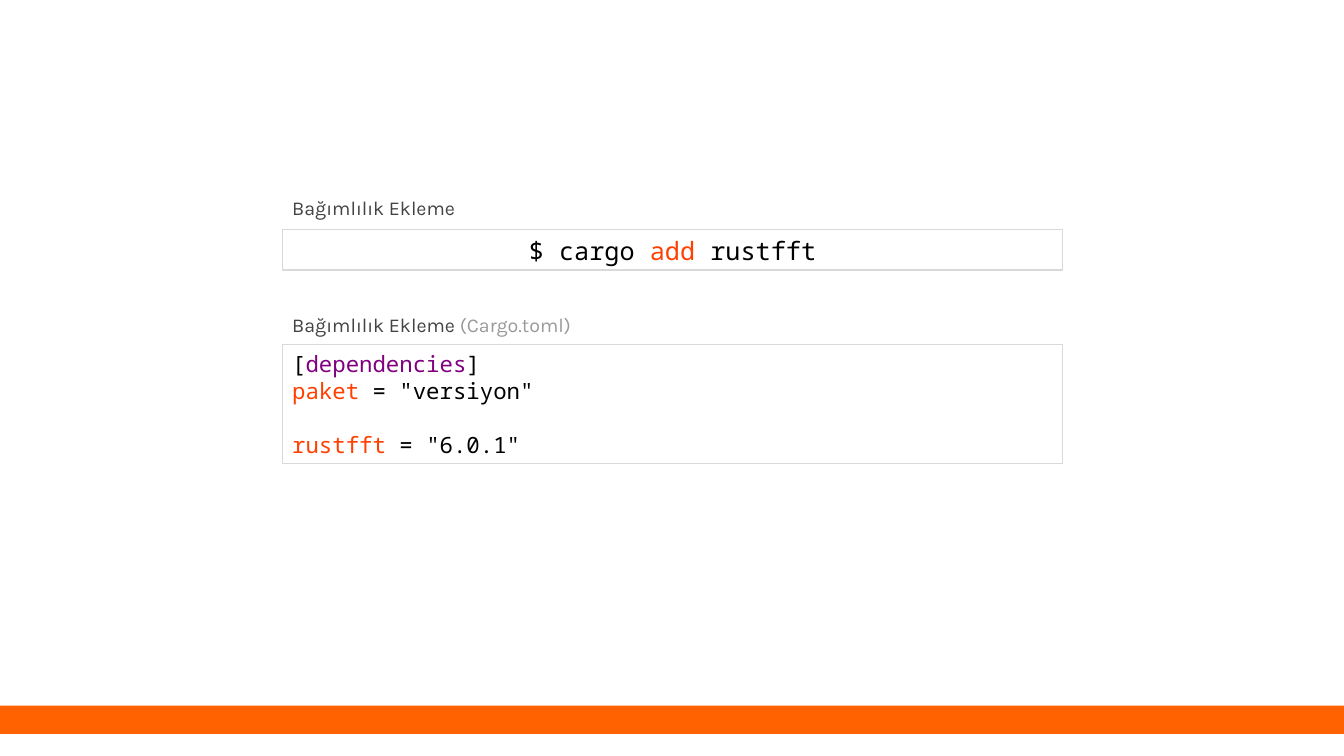
from dataclasses import dataclass

from pptx import Presentation
from pptx.dml.color import RGBColor
from pptx.enum.shapes import MSO_SHAPE
from pptx.enum.text import MSO_ANCHOR, PP_ALIGN
from pptx.shapes.autoshape import Shape
from pptx.slide import Slide
from pptx.util import Emu, Pt

EMU_PER_PX = 9144
COLORS = {
    "orange": "FF6200",
    "white": "FFFFFF",
    "border": "D9D9D9",
    "black": "000000",
    "keyword": "FF4000",
    "section": "800080",
    "heading": "434343",
    "muted": "999999",
}
LEFT, WIDTH = 280, 774
INSET = 10

Span = tuple[str, str]


@dataclass(frozen=True)
class Line:
    spans: tuple[Span, ...]
    space_before: int = 0


@dataclass(frozen=True)
class Label:
    top: int
    width: int
    line: Line


@dataclass(frozen=True)
class CodeBox:
    top: int
    height: int
    size: int
    align: PP_ALIGN
    lines: tuple[Line, ...]


LABELS = (
    Label(184, WIDTH, Line((("Bağımlılık Ekleme", "heading"),))),
    Label(300, 432, Line((("Bağımlılık Ekleme ", "heading"), ("(Cargo.toml)", "muted")))),
)
CODE_BOXES = (
    CodeBox(228, 40, 18, PP_ALIGN.CENTER, (
        Line((("$ cargo ", "black"), ("add", "keyword"), (" rustfft", "black"))),
    )),
    CodeBox(342, 118, 16, PP_ALIGN.LEFT, (
        Line((("[", "black"), ("dependencies", "section"), ("]", "black"))),
        Line((("paket", "keyword"), (' = "versiyon"', "black"))),
        Line((("rustfft", "keyword"), (' = "6.0.1"', "black")), space_before=19),
    )),
)


def px(length: int) -> Emu:
    return Emu(length * EMU_PER_PX)


def color(name: str) -> RGBColor:
    return RGBColor.from_string(COLORS[name])


def write_text(box: Shape, lines: tuple[Line, ...], *, font: str, size: int,
               align: PP_ALIGN, anchor: MSO_ANCHOR, inset: int) -> None:
    frame = box.text_frame
    frame.word_wrap = True
    frame.vertical_anchor = anchor
    frame.margin_left = frame.margin_right = px(INSET)
    frame.margin_top = frame.margin_bottom = px(inset)
    for index, line in enumerate(lines):
        para = frame.add_paragraph() if index else frame.paragraphs[0]
        para.alignment = align
        if line.space_before:
            para.space_before = Pt(line.space_before)
        for text, color_name in line.spans:
            span = para.add_run()
            span.text = text
            span.font.name = font
            span.font.size = Pt(size)
            span.font.color.rgb = color(color_name)


def add_rectangle(page: Slide, left: int, top: int, width: int, height: int,
                  fill: str) -> Shape:
    box = page.shapes.add_shape(MSO_SHAPE.RECTANGLE, px(left), px(top), px(width), px(height))
    box.shadow.inherit = False
    box.fill.solid()
    box.fill.fore_color.rgb = color(fill)
    box.line.fill.background()
    return box


def add_code_box(page: Slide, code: CodeBox) -> None:
    box = add_rectangle(page, LEFT, code.top, WIDTH, code.height, "white")
    box.line.color.rgb = color("border")
    box.line.width = Pt(1)
    write_text(box, code.lines, font="Noto Sans Mono", size=code.size,
               align=code.align, anchor=MSO_ANCHOR.MIDDLE, inset=5)


def add_label(page: Slide, label: Label) -> None:
    box = page.shapes.add_textbox(px(LEFT), px(label.top), px(label.width), px(44))
    write_text(box, (label.line,), font="Karla", size=14,
               align=PP_ALIGN.LEFT, anchor=MSO_ANCHOR.TOP, inset=INSET)


def main() -> None:
    deck = Presentation()
    deck.slide_width, deck.slide_height = px(1333), px(750)
    page = deck.slides.add_slide(deck.slide_layouts[6])
    add_rectangle(page, -2, 700, 1335, 28, "orange")
    for code in CODE_BOXES:
        add_code_box(page, code)
    for label in LABELS:
        add_label(page, label)
    deck.save("out.pptx")


if __name__ == "__main__":
    main()
